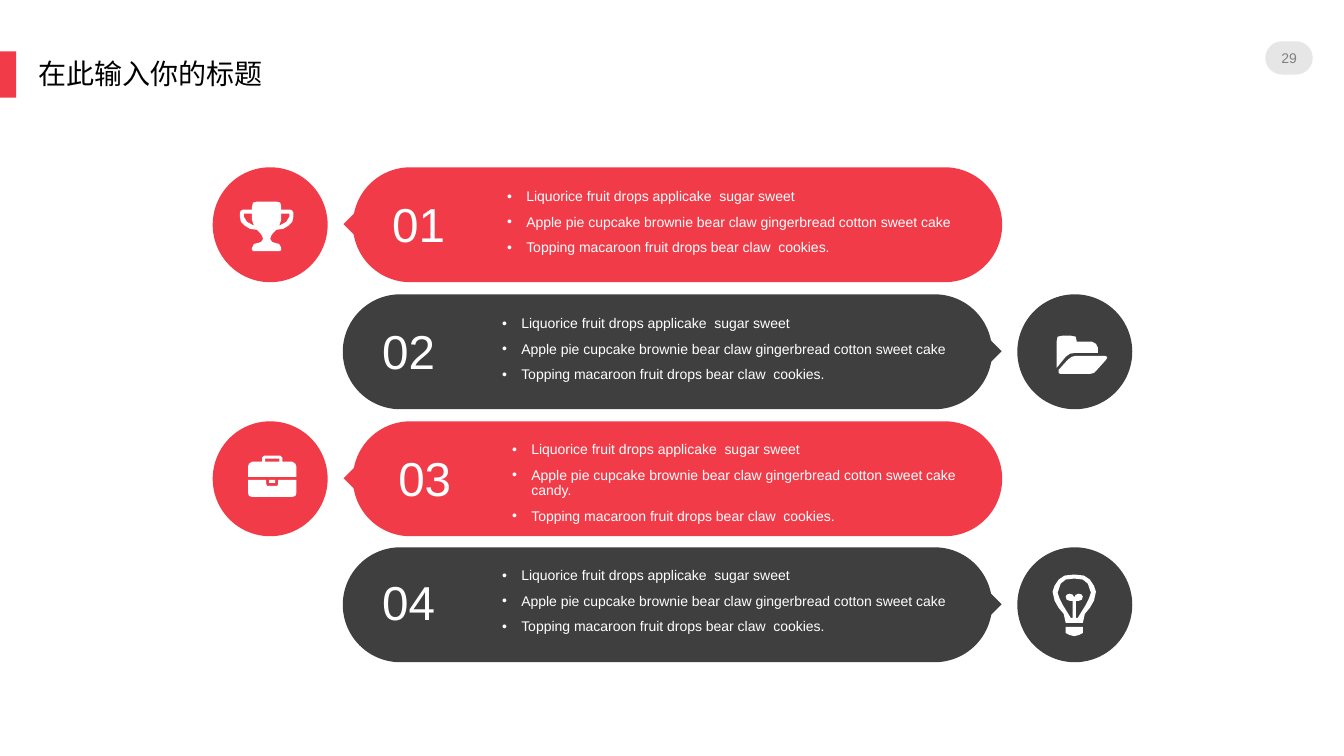
from lxml.etree import SubElement
from pptx import Presentation
from pptx.dml.color import RGBColor
from pptx.enum.shapes import MSO_SHAPE as SHAPE
from pptx.enum.text import MSO_ANCHOR as ANCHOR, PP_ALIGN as ALIGN
from pptx.oxml.ns import qn
from pptx.util import Pt

PX = 9144  # 100 px to the inch
RED = RGBColor(0xF2, 0x3B, 0x48)
DARK = RGBColor(0x3F, 0x3F, 0x3F)
PALE = RGBColor(0xE7, 0xE6, 0xE6)
GREY = RGBColor(0x80, 0x80, 0x80)
WHITE = RGBColor(0xFF, 0xFF, 0xFF)
BLACK = RGBColor(0, 0, 0)

deck = Presentation()
deck.slide_width, deck.slide_height = 1333 * PX, 750 * PX
page = deck.slides.add_slide(deck.slide_layouts[6])


def add_solid(kind, left, top, width, height, color):
    shape = page.shapes.add_shape(kind, left * PX, top * PX, width * PX, height * PX)
    shape.shadow.inherit = False
    shape.fill.solid()
    shape.fill.fore_color.rgb = color
    shape.line.fill.background()
    return shape


def add_text(lines, left, top, width, height, size, color, before=0, spacing=0.9, inset=0):
    box = page.shapes.add_textbox(left * PX, top * PX, width * PX, height * PX)
    frame = box.text_frame
    frame.word_wrap = True
    frame.margin_left = frame.margin_right = inset * PX
    frame.margin_top = frame.margin_bottom = inset * PX // 2
    frame.text = "\n".join(lines)
    for para in frame.paragraphs:
        para.line_spacing = spacing
        para.space_before = Pt(before)
        font = para.runs[0].font
        font.name, font.size = "Arial", Pt(size)
        font.color.rgb = color
    return frame


# Header
add_solid(SHAPE.RECTANGLE, 0, 51, 16, 46, RED)
add_text(["在此输入你的标题"], 28, 55, 417, 46, 20, BLACK, before=10, inset=10)
badge = add_solid(SHAPE.ROUNDED_RECTANGLE, 1255, 41, 47, 33, PALE)
badge.adjustments[0] = 0.5
number = add_text(["29"], 1255, 36, 47, 43, 10, GREY, spacing=1)
number.vertical_anchor = ANCHOR.MIDDLE
number.paragraphs[0].alignment = ALIGN.CENTER

# Rows: top, number left and top, bullets left, top and width
ROWS = [
    (166, 389, 200, 503, 188, 473),
    (292, 379, 326, 498, 314, 469),
    (418, 395, 452, 508, 439, 468),
    (543, 379, 575, 498, 564, 469),
]
for index, (top, number_left, number_top, list_left, list_top, list_width) in enumerate(ROWS):
    points_left = index % 2 == 0
    color = RED if points_left else DARK
    pill_left, tip_left, circle_left = (350, 345, 211) if points_left else (340, 968, 1009)
    add_solid(SHAPE.OVAL, circle_left, top, 114, 114, color)
    pill = add_solid(SHAPE.ROUNDED_RECTANGLE, pill_left, top, 644, 114, color)
    pill.adjustments[0] = 0.5
    add_solid(SHAPE.RECTANGLE, tip_left, top + 46, 21, 21, color).rotation = 45

    add_text([f"{index + 1:02}"], number_left, number_top, 82, 43, 34, WHITE, before=7.5)
    ending = " candy." if index == 2 else ""
    bullets = add_text([
        "Liquorice fruit drops applicake  sugar sweet",
        "Apple pie cupcake brownie bear claw gingerbread cotton sweet cake" + ending,
        "Topping macaroon fruit drops bear claw  cookies.",
    ], list_left, list_top, list_width, 101, 10, WHITE, before=7.5)
    for para in bullets.paragraphs:
        properties = para._p.get_or_add_pPr()
        properties.set("marL", str(19 * PX))
        properties.set("indent", str(-19 * PX))
        SubElement(properties, qn("a:buFont")).set("typeface", "Arial")
        SubElement(properties, qn("a:buChar")).set("char", "•")

# Icons: symmetric ones list the right half of each outline and a mirror sum (twice the axis)
TROPHY = [[(274, 200), (278, 201), (279, 205), (279, 208), (288, 208), (290, 209), (291, 211),
           (291, 215), (290, 220), (286, 224), (281, 227), (274, 228), (271, 231), (269, 234),
           (268, 237), (270, 240), (273, 241), (277, 242), (279, 246), (279, 248), (278, 249)]]
TROPHY_HANDLE = [(279, 212), (279, 218), (277, 224), (284, 220), (287, 215), (287, 212)]
BRIEFCASE = [
    [(278, 452), (280, 454), (280, 458), (290, 458), (293, 460), (294, 463), (294, 473)],
    [(277, 455), (277, 458)],
    [(290, 493), (293, 492), (294, 489), (294, 476), (276, 476), (276, 480), (275, 482)],
    [(273, 476), (273, 479)],
]
BULB = [
    [(1066, 570), (1075, 571), (1081, 575), (1085, 581), (1087, 587), (1085, 596),
     (1081, 603), (1076, 609), (1074, 618)],
    [(1066, 574), (1074, 575), (1079, 579), (1082, 588), (1080, 594), (1077, 600),
     (1072, 608), (1069, 613), (1067, 613), (1067, 596), (1070, 596), (1073, 595),
     (1074, 592), (1073, 590), (1070, 589), (1067, 590), (1066, 592)],
    [(1074, 622), (1074, 628), (1070, 630), (1066, 631)],
]
FOLDER = [
    [(1067, 353), (1096, 353), (1098, 354), (1098, 355), (1097, 357), (1088, 367),
     (1085, 370), (1081, 371), (1052, 371), (1050, 370), (1050, 367), (1059, 357), (1063, 354)],
    [(1054, 333), (1062, 333), (1067, 334), (1068, 339), (1083, 339), (1087, 341),
     (1089, 345), (1089, 350), (1067, 350), (1061, 351), (1057, 354), (1048, 365),
     (1048, 339), (1049, 334)],
]
icons = [FOLDER]
for halves, mirror in [(TROPHY, 529), (BRIEFCASE, 540), (BULB, 2131)]:
    icons.append([half + [(mirror - x, y) for x, y in reversed(half)] for half in halves])
icons[1] += [TROPHY_HANDLE, [(529 - x, y) for x, y in TROPHY_HANDLE]]

for outlines in icons:
    builder = page.shapes.build_freeform(*outlines[0][0], scale=PX)
    builder.add_line_segments(outlines[0][1:], close=True)
    for outline in outlines[1:]:
        builder.move_to(*outline[0])
        builder.add_line_segments(outline[1:], close=True)
    icon = builder.convert_to_shape()
    icon.shadow.inherit = False
    icon.fill.solid()
    icon.fill.fore_color.rgb = WHITE
    icon.line.fill.background()

deck.save("out.pptx")
